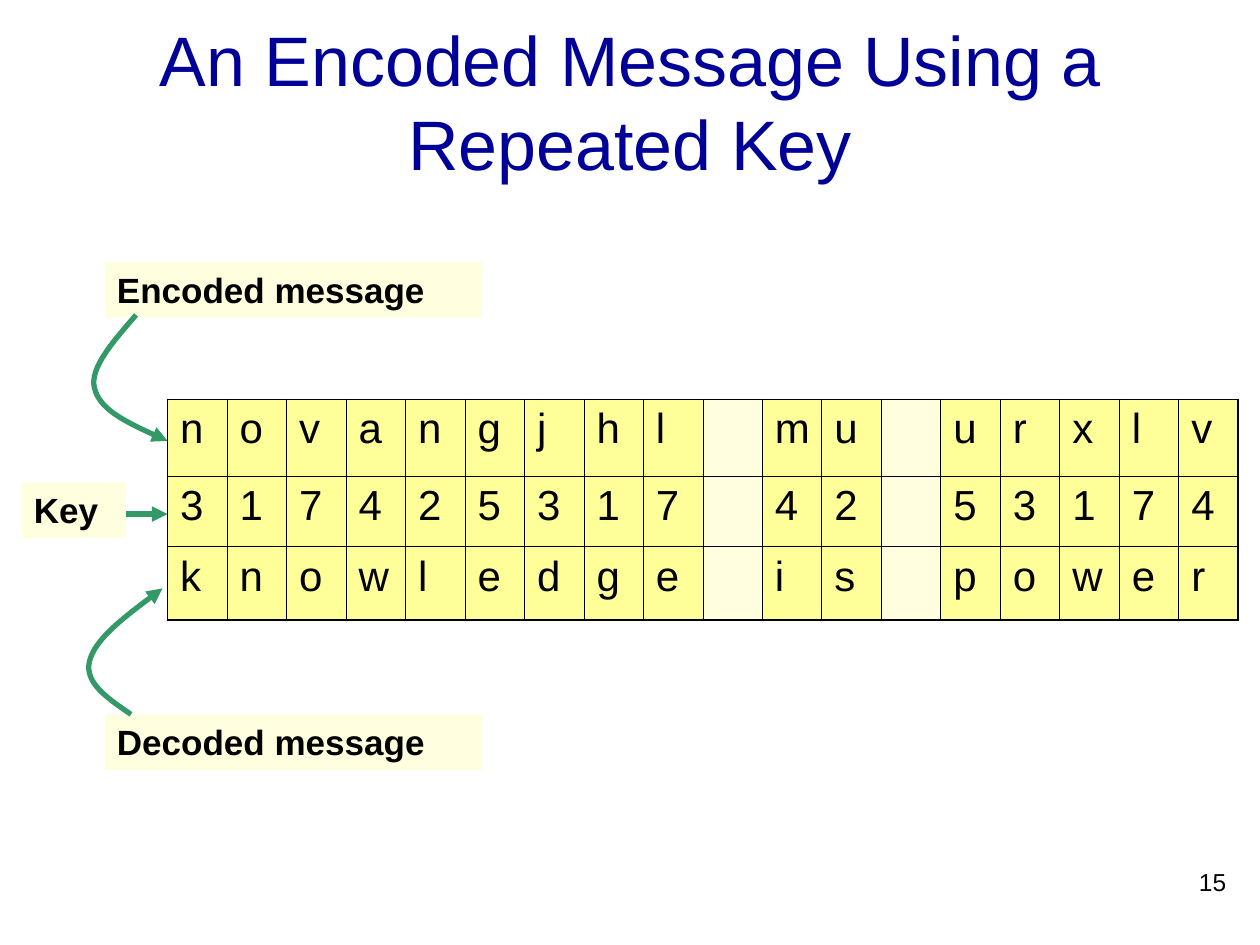
"""Build a slide showing a message encoded with a repeated key."""
import pptx
import pptx.dml.color
import pptx.enum.shapes
import pptx.enum.text
import pptx.oxml
import pptx.oxml.ns
import pptx.util
from pptx.util import Inches

FONT = "Arial"
BLACK, NAVY, GREEN = "000000", "000099", "339966"
YELLOW, CREAM = "FFFF99", "FFFFDF"
THIN, THICK = 0.45, 1.08
ROWS = ["novangjhl mu urxlv", "317425317 42 53174", "knowledge is power"]
ROW_HEIGHTS = [0.61, 0.56, 0.58]
LABELS = [
    ("Encoded message", 0.83, 2.08, 3),
    ("Key", 0.17, 3.83, 0.83),
    ("Decoded message", 0.83, 5.67, 3),
]
CURVES = [
    [(1.08, 2.5), (0.9, 2.71), (0.71, 2.92), (0.75, 3.08), (0.79, 3.25), (1.06, 3.38), (1.33, 3.5)],
    [(1.04, 5.67), (0.85, 5.54), (0.67, 5.42), (0.71, 5.25), (0.75, 5.08), (1.02, 4.87), (1.29, 4.67)],
]


def rgb(value):
    """Return the colour for a hex string."""
    return pptx.dml.color.RGBColor.from_string(value)


def style(p, size, color=BLACK, bold=False):
    """Format every run of a paragraph."""
    for r in p.runs:
        r.font.name = FONT
        r.font.size = pptx.util.Pt(size)
        r.font.bold = bold
        r.font.color.rgb = rgb(color)


def arrow_line(s):
    """Give a line its colour, width and arrowhead."""
    s.line.color.rgb = rgb(GREEN)
    s.line.width = pptx.util.Pt(3)
    tail = pptx.oxml.ns.qn("a:tailEnd")
    s.line._get_or_add_ln().append(pptx.oxml.parse_xml(
        f'<a:tailEnd {pptx.oxml.ns.nsdecls("a")} type="triangle"/>'))


def add_title(slide, text):
    """Place and format the title."""
    s = slide.shapes.title
    s.left, s.top, s.width, s.height = map(Inches, (0.75, 0.17, 8.5, 1.25))
    tf = s.text_frame
    tf.text = text
    tf.auto_size = pptx.enum.text.MSO_AUTO_SIZE.NONE
    tf.vertical_anchor = pptx.enum.text.MSO_ANCHOR.MIDDLE
    tf.paragraphs[0].alignment = pptx.enum.text.PP_ALIGN.CENTER
    style(tf.paragraphs[0], 40, NAVY)


def add_borders(cell, widths):
    """Draw the left, right, top and bottom borders of a cell."""
    tc_pr = cell._tc.get_or_add_tcPr()
    for side, width in zip("LRTB", widths):
        tc_pr.append(pptx.oxml.parse_xml(
            f'<a:ln{side} {pptx.oxml.ns.nsdecls("a")} w="{pptx.util.Pt(width)}">'
            f'<a:solidFill><a:srgbClr val="{BLACK}"/></a:solidFill></a:ln{side}>'))


def add_cipher_table(slide):
    """Add the table with one character in each cell."""
    n_rows, n_cols = len(ROWS), len(ROWS[0])
    table = slide.shapes.add_table(
        n_rows, n_cols, Inches(1.33), Inches(3.17), Inches(8.5), Inches(1.75)).table
    table.first_row = table.horz_banding = False
    for column in table.columns:
        column.width = Inches(8.5 / n_cols)
    for i, (text, height) in enumerate(zip(ROWS, ROW_HEIGHTS)):
        table.rows[i].height = Inches(height)
        for j, char in enumerate(text):
            cell = table.cell(i, j)
            edges = (j == 0, j == n_cols - 1, i == 0, i == n_rows - 1)
            add_borders(cell, [THICK if edge else THIN for edge in edges])
            cell.fill.solid()
            cell.fill.fore_color.rgb = rgb(CREAM if char == " " else YELLOW)
            if char != " ":
                cell.text_frame.text = char
                p = cell.text_frame.paragraphs[0]
                p.space_before = pptx.util.Pt(6)
                style(p, 24)


def add_label(slide, text, left, top, width):
    """Add a bold label on a pale rectangle."""
    s = slide.shapes.add_shape(
        pptx.enum.shapes.MSO_SHAPE.RECTANGLE,
        Inches(left), Inches(top), Inches(width), Inches(0.44))
    s.shadow.inherit = False
    s.fill.solid()
    s.fill.fore_color.rgb = rgb(CREAM)
    s.line.fill.background()
    tf = s.text_frame
    tf.text = text
    tf.word_wrap = True
    tf.auto_size = pptx.enum.text.MSO_AUTO_SIZE.SHAPE_TO_FIT_TEXT
    tf.vertical_anchor = pptx.enum.text.MSO_ANCHOR.TOP
    p = tf.paragraphs[0]
    p.alignment = pptx.enum.text.PP_ALIGN.LEFT
    p.space_before = pptx.util.Pt(12.5)
    style(p, 20, bold=True)


def add_key_arrow(slide):
    """Add the straight arrow from the key label to the table."""
    s = slide.shapes.add_connector(
        pptx.enum.shapes.MSO_CONNECTOR.STRAIGHT,
        Inches(1), Inches(4.08), Inches(1.33), Inches(4.08))
    arrow_line(s)
    s._element.spPr.append(pptx.oxml.parse_xml(
        f'<a:effectLst {pptx.oxml.ns.nsdecls("a")}/>'))


def add_curved_arrow(slide, points):
    """Add an arrow along Bezier segments of three points each."""
    start, *rest = [(Inches(x), Inches(y)) for x, y in points]
    builder = slide.shapes.build_freeform(*start)
    builder.add_line_segments(rest, close=False)
    s = builder.convert_to_shape()
    s.shadow.inherit = False
    s.fill.background()
    arrow_line(s)
    lines = list(s._element.iter(pptx.oxml.ns.qn("a:lnTo")))
    for k in range(0, len(lines), 3):
        curve = pptx.oxml.parse_xml(f'<a:cubicBezTo {pptx.oxml.ns.nsdecls("a")}/>')
        lines[k].addprevious(curve)
        for line in lines[k:k + 3]:
            curve.append(line[0])
            line.getparent().remove(line)


def add_slide_number(slide, text):
    """Add the slide number at the lower right."""
    s = slide.shapes.add_textbox(Inches(7.75), Inches(6.83), Inches(2.08), Inches(0.5))
    tf = s.text_frame
    tf.word_wrap = True
    tf.text = text
    tf.paragraphs[0].alignment = pptx.enum.text.PP_ALIGN.RIGHT
    style(tf.paragraphs[0], 14)


def main():
    """Build and save the slide."""
    prs = pptx.Presentation()
    prs.slide_width, prs.slide_height = Inches(10), Inches(7.5)
    slide = prs.slides.add_slide(prs.slide_layouts[5])
    add_title(slide, "An Encoded Message Using a Repeated Key")
    add_cipher_table(slide)
    for label in LABELS:
        add_label(slide, *label)
    add_key_arrow(slide)
    for points in CURVES:
        add_curved_arrow(slide, points)
    add_slide_number(slide, "15")
    prs.save("out.pptx")


if __name__ == "__main__":
    main()
